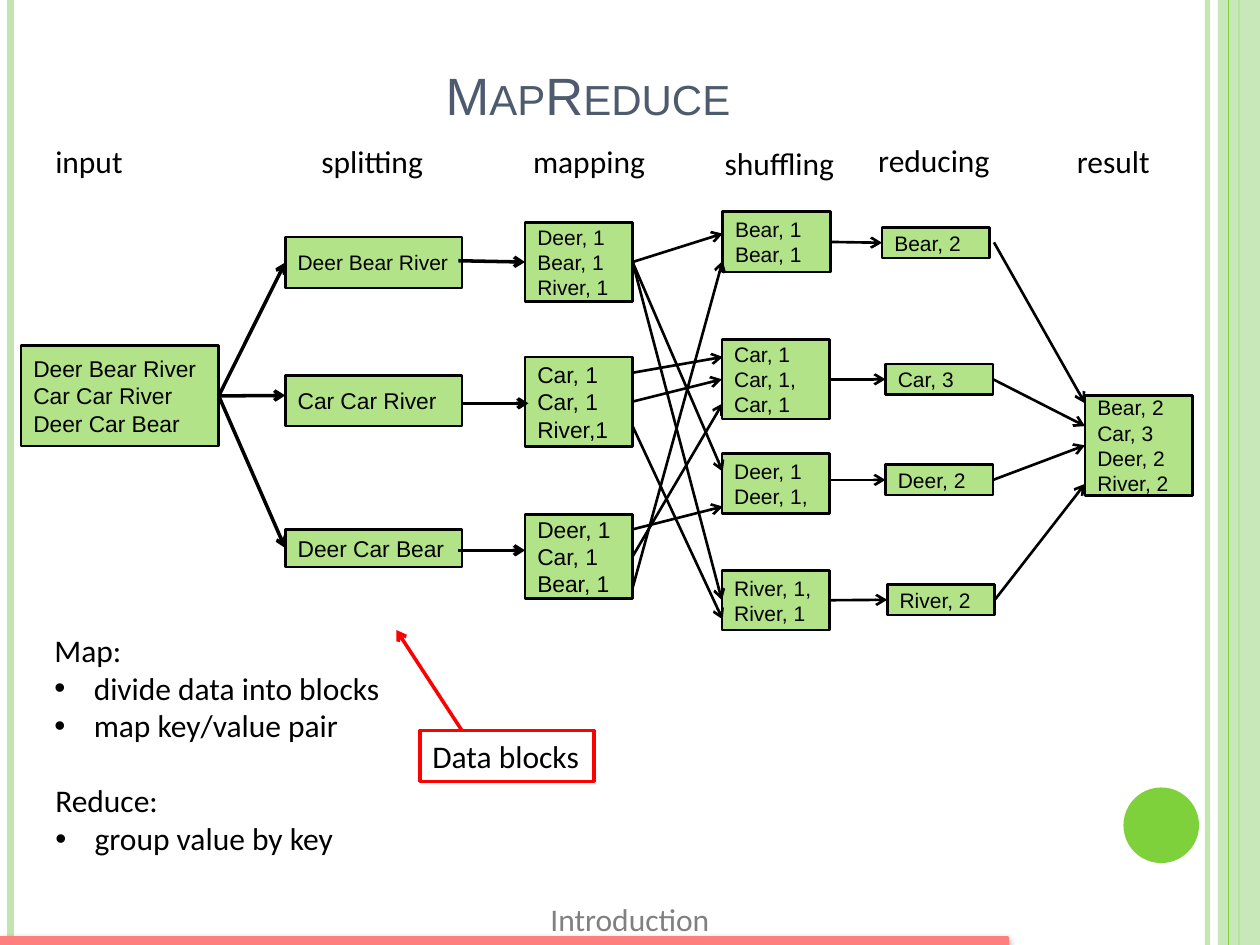
"""Build a MapReduce word count flow slide."""
from pptx import Presentation
from pptx.dml.color import RGBColor as Rgb
from pptx.enum.shapes import MSO_CONNECTOR as Link, MSO_SHAPE as Kind
from pptx.enum.text import MSO_ANCHOR as Anchor, MSO_AUTO_SIZE as Fit, PP_ALIGN as Align
from pptx.oxml.ns import qn
from pptx.util import Pt
from lxml.etree import SubElement as Sub

HUES = {"pale": "C0E5AF", "green": "7FD13B", "box": "B2E389", "black": "000000",
        "red": "FF0000", "pink": "FF7F7F", "slate": "4E5B6F", "gray": "808080"}
HUES = {name: Rgb.from_string(code) for name, code in HUES.items()}

deck = Presentation()
deck.slide_width, deck.slide_height = Pt(720), Pt(540)
slide = deck.slides.add_slide(deck.slide_layouts[6])
shapes = slide.shapes
boxes = []


def write(shape, lines, size=18, font="Calibri", hue="black", anchor=Anchor.TOP,
          wrap=True, align=Align.LEFT, bullets=False):
    frame = shape.text_frame
    frame.word_wrap, frame.vertical_anchor = wrap, anchor
    frame.auto_size = Fit.SHAPE_TO_FIT_TEXT if anchor == Anchor.TOP else Fit.NONE
    for i, line in enumerate(lines):
        para = frame.paragraphs[0] if i == 0 else frame.add_paragraph()
        para.alignment = align
        if bullets and i:
            props = para._p.get_or_add_pPr()
            props.set("marL", str(Pt(22.5)))
            props.set("indent", str(-Pt(22.5)))
            Sub(props, qn("a:buFont"), typeface="Arial")
            Sub(props, qn("a:buChar"), char="•")
        run = para.add_run()
        run.text = line
        run.font.size, run.font.name = Pt(size), font
        run.font.color.rgb = HUES[hue]


def draw(x1, y1, x2, y2, hue="black", width=1.5, head=True):
    line = shapes.add_connector(Link.STRAIGHT, Pt(x1), Pt(y1), Pt(x2), Pt(y2))
    line.line.color.rgb, line.line.width = HUES[hue], Pt(width)
    if head:
        Sub(line.line._get_or_add_ln(), qn("a:tailEnd"), type="arrow")
    Sub(line._element.spPr, qn("a:effectLst"))
    for box in boxes:
        mid = box.top + box.height / 2
        for x, y, side, edge, join in (
                (x1, y1, 3, box.left + box.width, line.begin_connect),
                (x2, y2, 1, box.left, line.end_connect)):
            if abs(Pt(x) - edge) <= Pt(1) and abs(Pt(y) - mid) <= Pt(1):
                join(box, side)
    return line


strip = draw(690, 0, 690, 540, "pale", 3, False)
draw(6, 0, 6, 540, "pale", 4.5, False)
draw(708, 0, 708, 540, "green", 1.5, False)

plain = []
for kind, left, top, width, height, hue in (
        (Kind.RECTANGLE, 696, 0, 24, 540, "pale"),
        (Kind.OVAL, 642, 450, 43.2, 43.2, "green"),
        (Kind.RECTANGLE, 0, 535.5, 576, 4.5, "pink")):
    shape = shapes.add_shape(kind, Pt(left), Pt(top), Pt(width), Pt(height))
    shape.shadow.inherit = False
    shape.fill.solid()
    shape.fill.fore_color.rgb = HUES[hue]
    shape.line.fill.background()
    plain.append(shape)
band, dot, bar = plain
draw(702, 0, 702, 540, "green", 0.75, False)
for shape, part in ((strip, 93), (band, 87)):
    Sub(next(shape._element.spPr.iter(qn("a:srgbClr"))), qn("a:alpha"), val=str(part * 1000))

bar.line.color.rgb, bar.line.width = HUES["pink"], Pt(1)
glow = Sub(bar._element.spPr.find(qn("a:effectLst")), qn("a:outerShdw"), blurRad=str(Pt(4)),
           dist=str(Pt(1.6)), dir="5400000", rotWithShape="0")
shade = Sub(glow, qn("a:srgbClr"), val="000000")
Sub(shade, qn("a:alpha"), val="42000")

title = shapes.add_textbox(Pt(42), Pt(30), Pt(588), Pt(45.5))
write(title, ["MapReduce"], 30, "Arial", "slate", Anchor.BOTTOM, align=Align.CENTER)
title.text_frame.paragraphs[0].runs[0]._r.get_or_add_rPr().set("cap", "small")

for left, top, width, height, wrap, lines in (
        (24.5, 77.75, 53.5, 29, False, ["input"]),
        (176.5, 77.75, 73.5, 29, False, ["splitting"]),
        (297.5, 77.75, 84, 29, True, ["mapping"]),
        (407, 78.5, 84, 29, True, ["shuffling"]),
        (494.75, 77, 84, 29, True, ["reducing"]),
        (608.25, 77.75, 84, 29, True, ["result"]),
        (24, 357, 202.5, 72.5, False, ["Map:", "divide data into blocks", "map key/value pair"]),
        (24.5, 443, 178, 51, False, ["Reduce:", "group value by key"])):
    label = shapes.add_textbox(Pt(left), Pt(top), Pt(width), Pt(height))
    write(label, lines, wrap=wrap, bullets=True)

foot = shapes.add_textbox(Pt(260), Pt(511), Pt(200), Pt(29))
write(foot, ["Introduction"], hue="gray", align=Align.CENTER)

note = shapes.add_shape(Kind.RECTANGLE, Pt(240), Pt(417.5), Pt(99.5), Pt(29))
note.shadow.inherit = False
note.fill.background()
note.line.color.rgb, note.line.width = HUES["red"], Pt(2)
write(note, ["Data blocks"], wrap=False)
draw(264, 417.5, 226.5, 360, "red", 2)

for left, top, width, height, size, lines in (
        (12, 197.5, 113, 57.5, 13, ["Deer Bear River Car Car River Deer Car Bear"]),
        (163, 135.5, 101, 29, 12, ["Deer Bear River"]),
        (163, 214.5, 101, 29, 13, ["Car Car River"]),
        (163, 302.5, 101, 21.5, 13, ["Deer Car Bear"]),
        (300, 127, 61.5, 45.5, 12, ["Deer, 1", "Bear, 1", "River, 1"]),
        (300, 204, 61.5, 51, 13, ["Car, 1", "Car, 1", "River,1"]),
        (300, 294, 61.5, 48, 13, ["Deer, 1 Car, 1", "Bear, 1"]),
        (413, 121, 61.5, 34.5, 12, ["Bear, 1", "Bear, 1"]),
        (412.5, 194, 61.5, 45.5, 12, ["Car, 1", "Car, 1,", "Car, 1"]),
        (412.5, 259, 61.5, 34.5, 12, ["Deer, 1", "Deer, 1,"]),
        (412.5, 326, 61.5, 34, 12, ["River, 1,", "River, 1"]),
        (504, 130, 61.5, 17.5, 12, ["Bear, 2"]),
        (506, 208, 61.5, 17.5, 12, ["Car, 3"]),
        (506, 265.5, 61.5, 17.5, 12, ["Deer, 2"]),
        (507, 334, 61.5, 17.5, 12, ["River, 2"]),
        (620, 226, 61.5, 57, 12, ["Bear, 2", "Car, 3", "Deer, 2", "River, 2"])):
    box = shapes.add_shape(Kind.RECTANGLE, Pt(left), Pt(top), Pt(width), Pt(height))
    box.shadow.inherit = False
    box.fill.solid()
    box.fill.fore_color.rgb = HUES["box"]
    box.line.color.rgb, box.line.width = HUES["black"], Pt(1.5)
    write(box, lines, size, "Arial", anchor=Anchor.MIDDLE)
    boxes.append(box)

for end in (150, 226, 313.25):
    draw(125, 226.25, 163, end, width=2)
for x, y in ((262, 149), (264, 230.5), (262, 314.5)):
    draw(x, y, x + 38, y, width=2)
for start, end in ((149.75, 269.5), (149.75, 133.5), (149.75, 342.75), (213, 204),
                   (229.5, 217), (243.5, 354), (302.5, 289.5), (318, 230.5), (336, 149)):
    draw(361.5, start, 413, end)
for x1, x2, y in ((474.5, 504, 138.5), (474, 506, 216.75), (474, 506, 274.25), (474, 507, 343)):
    draw(x1, y, x2, y)
for x, start, end in ((568, 138.5, 230.5), (567.5, 216.75, 243.5),
                      (567.5, 274.25, 254.75), (568.5, 342.75, 276.5)):
    draw(x, start, 620, end)

deck.save("out.pptx")
